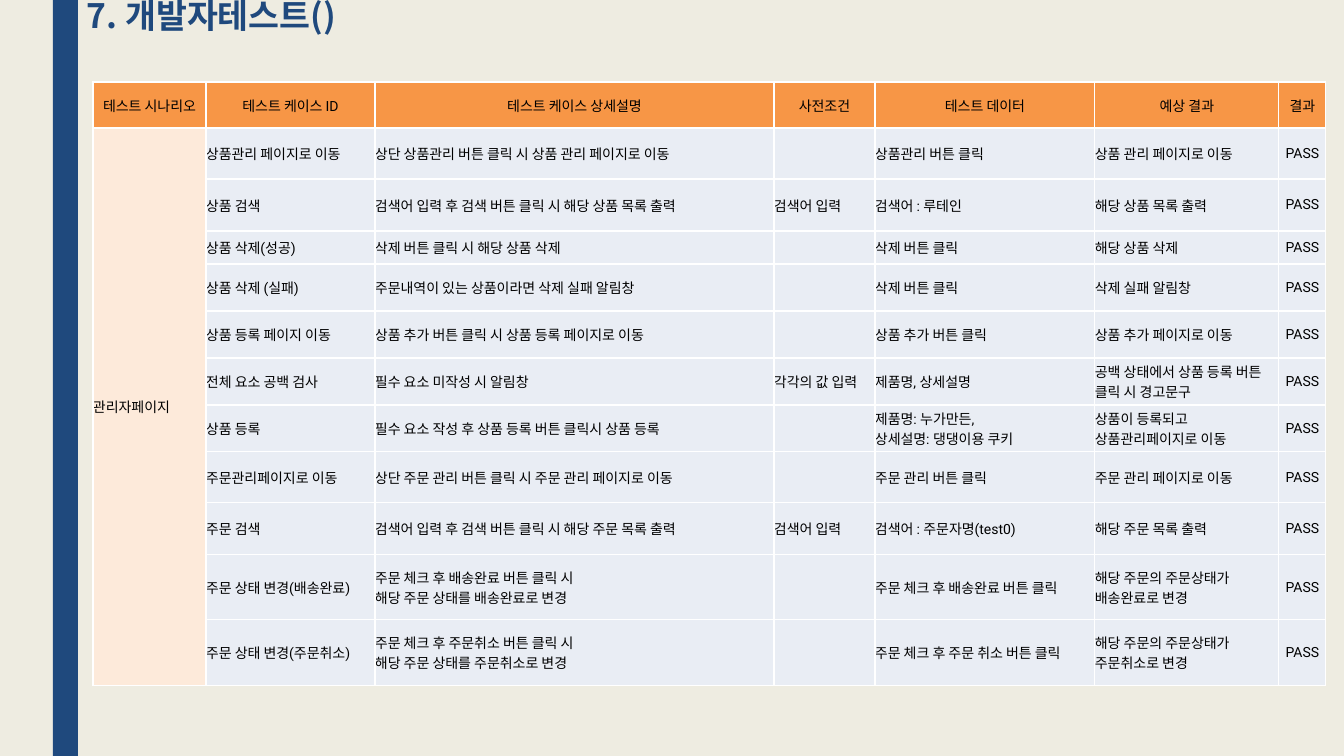
from dataclasses import dataclass

from lxml.etree import SubElement
from pptx import Presentation
from pptx.dml.color import RGBColor
from pptx.enum.shapes import MSO_SHAPE
from pptx.enum.text import MSO_ANCHOR as Anchor, PP_ALIGN as Align
from pptx.oxml.ns import qn
from pptx.util import Pt

SLIDE_W, SLIDE_H = 1344, 756
EMU_PER_PX = 12192000 / SLIDE_W


@dataclass(frozen=True)
class Theme:
    background: str = "EEECE1"
    navy: str = "1F497D"
    header: str = "F79646"
    scenario: str = "FDEADA"
    body: str = "E9EDF4"
    border: str = "FFFFFF"
    ink: str = "000000"
    korean_font: str = "Noto Sans CJK KR"
    latin_font: str = "Roboto"
    title_size: int = 24
    cell_size: int = 10


HEADERS = ["테스트 시나리오", "테스트 케이스 ID", "테스트 케이스 상세설명", "사전조건",
           "테스트 데이터", "예상 결과", "결과"]
SCENARIO = "관리자페이지"
RESULT = "PASS"
# Case ID, description, precondition, test data, expected result
CASES = [
    ("상품관리 페이지로 이동", "상단 상품관리 버튼 클릭 시 상품 관리 페이지로 이동", "",
     "상품관리 버튼 클릭", "상품 관리 페이지로 이동"),
    ("상품 검색", "검색어 입력 후 검색 버튼 클릭 시 해당 상품 목록 출력", "검색어 입력",
     "검색어 : 루테인", "해당 상품 목록 출력"),
    ("상품 삭제(성공)", "삭제 버튼 클릭 시 해당 상품 삭제", "",
     "삭제 버튼 클릭", "해당 상품 삭제"),
    ("상품 삭제 (실패)", "주문내역이 있는 상품이라면 삭제 실패 알림창", "",
     "삭제 버튼 클릭", "삭제 실패 알림창"),
    ("상품 등록 페이지 이동", "상품 추가 버튼 클릭 시 상품 등록 페이지로 이동", "",
     "상품 추가 버튼 클릭", "상품 추가 페이지로 이동"),
    ("전체 요소 공백 검사", "필수 요소 미작성 시 알림창", "각각의 값 입력",
     "제품명, 상세설명", "공백 상태에서 상품 등록 버튼\n클릭 시 경고문구"),
    ("상품 등록", "필수 요소 작성 후 상품 등록 버튼 클릭시 상품 등록", "",
     "제품명: 누가만든,\n상세설명: 댕댕이용 쿠키", "상품이 등록되고\n상품관리페이지로 이동"),
    ("주문관리페이지로 이동", "상단 주문 관리 버튼 클릭 시 주문 관리 페이지로 이동", "",
     "주문 관리 버튼 클릭", "주문 관리 페이지로 이동"),
    ("주문 검색", "검색어 입력 후 검색 버튼 클릭 시 해당 주문 목록 출력", "검색어 입력",
     "검색어 : 주문자명(test0)", "해당 주문 목록 출력"),
    ("주문 상태 변경(배송완료)",
     "주문 체크 후 배송완료 버튼 클릭 시\n해당 주문 상태를 배송완료로 변경", "",
     "주문 체크 후 배송완료 버튼 클릭", "해당 주문의 주문상태가\n배송완료로 변경"),
    ("주문 상태 변경(주문취소)",
     "주문 체크 후 주문취소 버튼 클릭 시\n해당 주문 상태를 주문취소로 변경", "",
     "주문 체크 후 주문 취소 버튼 클릭", "해당 주문의 주문상태가\n주문취소로 변경"),
]
COLUMN_WIDTHS = [113, 169, 399, 101, 220, 184, 47]
ROW_HEIGHTS = [46, 51, 52, 33, 47, 47, 47, 47, 51, 52, 65, 66]


def px(length):
    return round(length * EMU_PER_PX)


def write_text(frame, text, *, size, color, latin, east_asian, bold=False,
               align=Align.LEFT, line_spacing=None):
    """Fill a text frame, one paragraph per line of text."""
    for index, line in enumerate(text.split("\n")):
        paragraph = frame.add_paragraph() if index else frame.paragraphs[0]
        paragraph.alignment = align
        if line_spacing:
            paragraph.line_spacing = line_spacing
        if not line:
            # An empty cell must keep the small size or its row grows.
            SubElement(paragraph._p, qn("a:endParaRPr"), sz=str(size * 100))
            continue
        run = paragraph.add_run()
        run.text = line
        run.font.size, run.font.bold, run.font.name = Pt(size), bold, latin
        run.font.color.rgb = RGBColor.from_string(color)
        SubElement(run.font._element, qn("a:ea"), typeface=east_asian)


class SlideBuilder:
    def __init__(self, slide, theme):
        self.slide = slide
        self.theme = theme
        self.paint(slide.background.fill, theme.background)

    def paint(self, fill, color):
        fill.solid()
        fill.fore_color.rgb = RGBColor.from_string(color)

    def bar(self, x, y, width, height, color):
        bar = self.slide.shapes.add_shape(
            MSO_SHAPE.RECTANGLE, px(x), px(y), px(width), px(height))
        bar.shadow.inherit = False
        self.paint(bar.fill, color)
        bar.line.fill.background()

    def title(self, x, y, width, height, text):
        frame = self.slide.shapes.add_textbox(
            px(x), px(y), px(width), px(height)).text_frame
        frame.word_wrap = True
        frame.vertical_anchor = Anchor.TOP
        frame.margin_top = frame.margin_bottom = 0
        write_text(frame, text, size=self.theme.title_size, color=self.theme.navy,
                   latin=self.theme.korean_font, east_asian=self.theme.korean_font,
                   bold=True, line_spacing=0.89)

    def cell(self, cell, text, color, align):
        cell.margin_left = cell.margin_right = cell.margin_top = cell.margin_bottom = 0
        cell.vertical_anchor = Anchor.MIDDLE
        properties = cell._tc.get_or_add_tcPr()
        for side in ("lnL", "lnR", "lnT", "lnB"):
            border = SubElement(properties, qn(f"a:{side}"), w=str(Pt(1)))
            border_fill = SubElement(border, qn("a:solidFill"))
            SubElement(border_fill, qn("a:srgbClr"), val=self.theme.border)
        self.paint(cell.fill, color)
        write_text(cell.text_frame, text, size=self.theme.cell_size,
                   color=self.theme.ink, latin=self.theme.latin_font,
                   east_asian=self.theme.korean_font, align=align)

    def test_table(self, x, y, rows):
        """Draw the rows under a header, with one scenario cell down the first column."""
        table = self.slide.shapes.add_table(
            len(rows), len(COLUMN_WIDTHS), px(x), px(y),
            px(sum(COLUMN_WIDTHS)), px(sum(ROW_HEIGHTS))).table
        table.first_row = table.horz_banding = False
        for column, width in zip(table.columns, COLUMN_WIDTHS):
            column.width = px(width)
        for row, height in zip(table.rows, ROW_HEIGHTS):
            row.height = px(height)
        result_column = len(COLUMN_WIDTHS) - 1
        for r, row in enumerate(rows):
            for c, text in enumerate(row):
                if r == 0:
                    color = self.theme.header
                else:
                    color = self.theme.body if c else self.theme.scenario
                centred = r == 0 or c == result_column
                self.cell(table.cell(r, c), text, color,
                          Align.CENTER if centred else Align.LEFT)
        table.cell(1, 0).merge(table.cell(len(rows) - 1, 0))


def main():
    deck = Presentation()
    deck.slide_width, deck.slide_height = px(SLIDE_W), px(SLIDE_H)
    theme = Theme()
    builder = SlideBuilder(deck.slides.add_slide(deck.slide_layouts[6]), theme)
    builder.bar(53, 0, 25, SLIDE_H, theme.navy)
    builder.title(77, 0, 1058, 82, "7. 개발자테스트()")
    case_rows = [("" if i else SCENARIO, *case, RESULT) for i, case in enumerate(CASES)]
    builder.test_table(93, 82, [HEADERS, *case_rows])
    deck.save("out.pptx")


if __name__ == "__main__":
    main()
